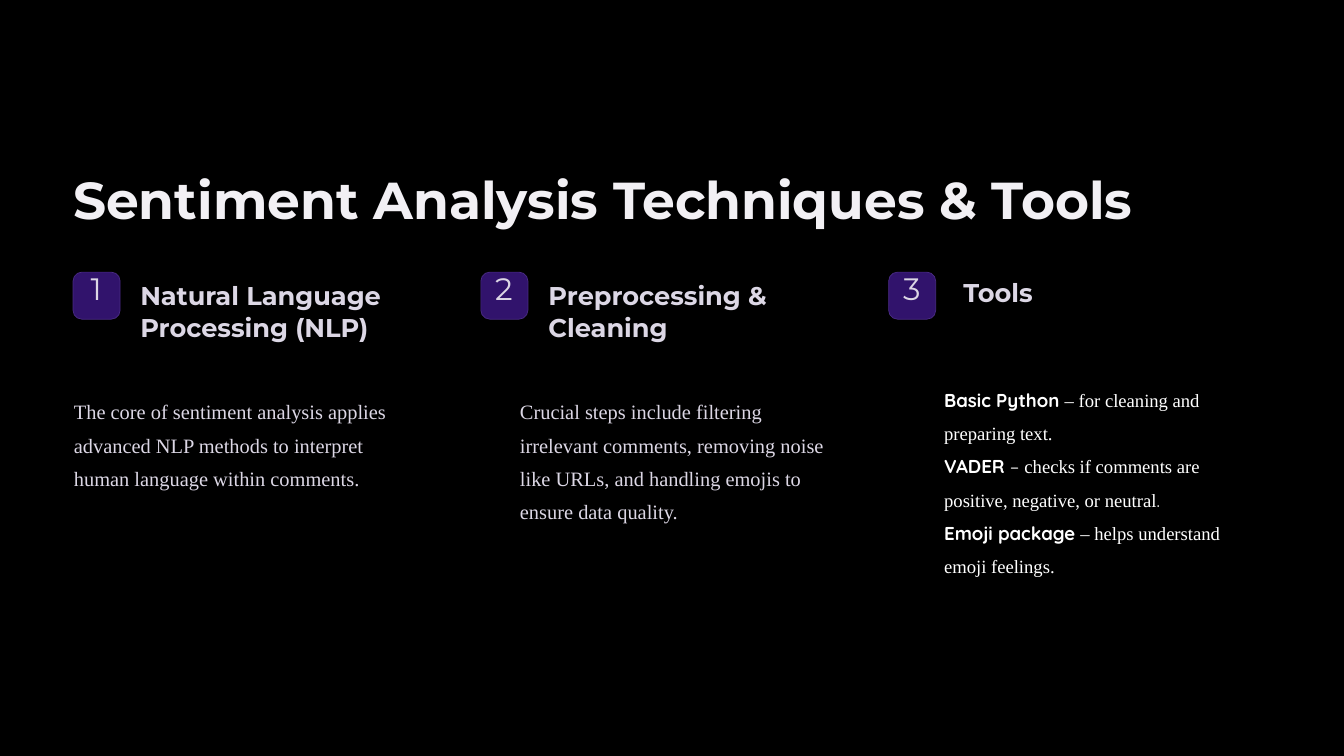
from dataclasses import dataclass

from pptx import Presentation
from pptx.dml.color import RGBColor
from pptx.enum.shapes import MSO_SHAPE
from pptx.enum.text import PP_ALIGN
from pptx.util import Inches, Pt


@dataclass(frozen=True)
class Theme:
    background: str = "000000"
    title_color: str = "F2F0F4"
    text_color: str = "DCD7E5"
    tools_color: str = "FFFFFF"
    badge_fill: str = "31136C"
    badge_line: str = "4A2C85"
    heading_font: str = "Montserrat"
    body_font: str = "Times New Roman"
    accent_font: str = "Quicksand"
    title_size: float = 44.5
    number_size: float = 26.5
    heading_size: float = 22
    body_size: float = 17.5
    tools_size: float = 16


THEME = Theme()


@dataclass(frozen=True)
class Style:
    size: float
    color: str
    spacing: float
    font: str | None = None
    bold: bool | None = None
    align: PP_ALIGN = PP_ALIGN.LEFT


@dataclass(frozen=True)
class Span:
    text: str
    font: str | None = None
    bold: bool | None = None


@dataclass(frozen=True)
class Box:
    left: float
    top: float
    width: float
    height: float

    def lengths(self) -> list[int]:
        return [Inches(value) for value in (self.left, self.top, self.width, self.height)]


@dataclass(frozen=True)
class Column:
    heading: str
    heading_box: Box
    heading_wraps: bool
    body: list[list[Span]]
    body_box: Box
    body_style: Style


TITLE = Style(THEME.title_size, THEME.title_color, 55.5, THEME.heading_font, True)
NUMBER = Style(THEME.number_size, THEME.text_color, 26.5, THEME.heading_font,
               align=PP_ALIGN.CENTER)
HEADING = Style(THEME.heading_size, THEME.text_color, 27.5, THEME.heading_font, True)
BODY = Style(THEME.body_size, THEME.text_color, 28.5, THEME.body_font)
TOOLS = Style(THEME.tools_size, THEME.tools_color, 28.5)

FIRST_LEFT, LAST_LEFT = 0.87, 10.58
BADGE_TOP, BADGE_SIZE = 3.24, 0.56

COLUMNS = [
    Column("Natural Language Processing (NLP)", Box(1.67, 3.32, 3.74, 0.78), True,
           [[Span("The core of sentiment analysis applies advanced NLP methods "
                  "to interpret human language within comments.")]],
           Box(0.88, 4.65, 3.74, 1.59), BODY),
    Column("Preprocessing & Cleaning", Box(6.53, 3.32, 3.74, 0.78), True,
           [[Span("Crucial steps include filtering irrelevant comments, removing noise "
                  "like URLs, and handling emojis to ensure data quality.")]],
           Box(6.19, 4.65, 3.74, 1.59), BODY),
    Column("Tools", Box(11.47, 3.28, 3.1, 0.39), False,
           [[Span("Basic Python ", THEME.accent_font, True),
             Span("– for cleaning and preparing text.", THEME.body_font)],
            [Span("VADER", THEME.accent_font, True),
             Span(" – ", THEME.accent_font),
             Span("checks if comments are positive, negative, or neutral", THEME.body_font),
             Span(".", THEME.accent_font)],
            [Span("Emoji package ", THEME.accent_font, True),
             Span("– helps understand emoji feelings.", THEME.body_font)]],
           Box(11.24, 4.5, 3.74, 3.17), TOOLS),
]


def add_text(slide, box: Box, paragraphs: list[list[Span]], style: Style,
             wrap: bool = False) -> None:
    frame = slide.shapes.add_textbox(*box.lengths()).text_frame
    frame.word_wrap = wrap
    frame.margin_left = frame.margin_top = frame.margin_right = frame.margin_bottom = 0
    for index, spans in enumerate(paragraphs):
        paragraph = frame.add_paragraph() if index else frame.paragraphs[0]
        paragraph.alignment = style.align
        paragraph.line_spacing = Pt(style.spacing)
        paragraph.font.size = Pt(style.size)
        paragraph.font.color.rgb = RGBColor.from_string(style.color)
        paragraph.font.name = style.font
        paragraph.font.bold = style.bold
        for span in spans:
            run = paragraph.add_run()
            run.text = span.text
            if span.font:
                run.font.name = span.font
            if span.bold:
                run.font.bold = True


def add_badge(slide, left: float, number: int) -> None:
    box = Box(left, BADGE_TOP, BADGE_SIZE, BADGE_SIZE)
    shape = slide.shapes.add_shape(MSO_SHAPE.ROUNDED_RECTANGLE, *box.lengths())
    shape.adjustments[0] = 0.187
    shape.shadow.inherit = False
    shape.fill.solid()
    shape.fill.fore_color.rgb = RGBColor.from_string(THEME.badge_fill)
    shape.line.color.rgb = RGBColor.from_string(THEME.badge_line)
    shape.line.width = Pt(0.6)
    add_text(slide, Box(left + 0.09, BADGE_TOP + 0.04, 0.37, 0.47),
             [[Span(str(number))]], NUMBER)


def main() -> None:
    presentation = Presentation()
    presentation.slide_width = Inches(16)
    presentation.slide_height = Inches(9)
    slide = presentation.slides.add_slide(presentation.slide_layouts[6])
    slide.background.fill.solid()
    slide.background.fill.fore_color.rgb = RGBColor.from_string(THEME.background)

    # Title, wide enough for a single line
    add_text(slide, Box(FIRST_LEFT, 1.97, 13, 0.78),
             [[Span("Sentiment Analysis Techniques & Tools")]], TITLE)

    # Numbered columns
    pitch = (LAST_LEFT - FIRST_LEFT) / (len(COLUMNS) - 1)
    for index, column in enumerate(COLUMNS):
        add_badge(slide, FIRST_LEFT + index * pitch, index + 1)
        add_text(slide, column.heading_box, [[Span(column.heading)]], HEADING,
                 column.heading_wraps)
        add_text(slide, column.body_box, column.body, column.body_style, True)

    presentation.save("out.pptx")


if __name__ == "__main__":
    main()
